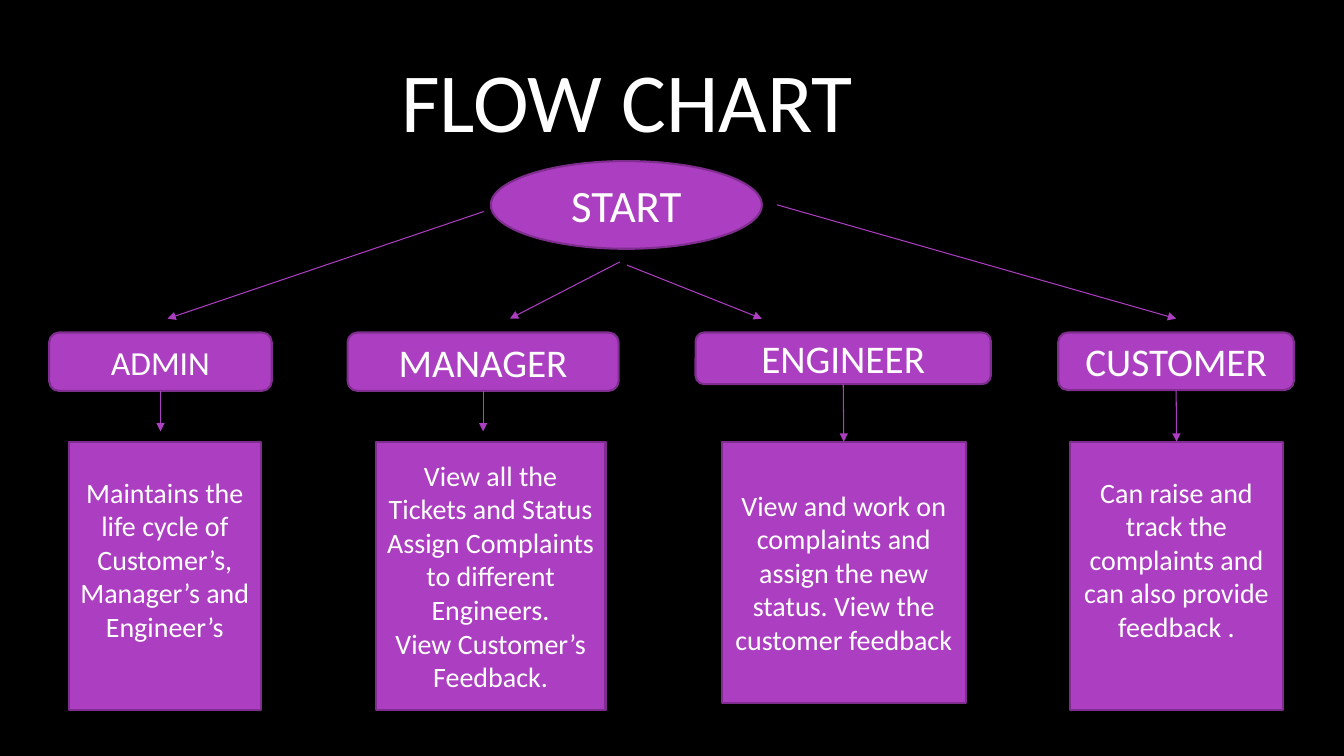
"""Build the flow chart slide of user roles."""
import dataclasses

import pptx
import pptx.dml.color
import pptx.enum.shapes
import pptx.enum.text
import pptx.oxml
import pptx.oxml.ns
import pptx.util

Cm = pptx.util.Cm
Pt = pptx.util.Pt
RGB = pptx.dml.color.RGBColor
SHAPES = pptx.enum.shapes.MSO_SHAPE


@dataclasses.dataclass(frozen=True)
class Theme:
    """Hold the colours, font and type sizes."""
    background: RGB = RGB(0x00, 0x00, 0x00)
    fill: RGB = RGB(0xAC, 0x3E, 0xC1)
    outline: RGB = RGB(0x7F, 0x2E, 0x8F)
    text: RGB = RGB(0xFF, 0xFF, 0xFF)
    font: str = "Calibri"
    title: int = 60
    start: int = 32
    role: int = 28
    small_role: int = 24
    body: int = 20


@dataclasses.dataclass(frozen=True)
class Role:
    """Describe one column: its heading, its duties and its arrow."""
    name: str
    size: int
    heading: tuple
    duties_box: tuple
    duties: tuple
    bottom_inset: float
    arrow_joins: bool


THEME = Theme()
HEADING_TOP = 8.38
DUTIES_TOP = 11.13
BRANCH_BOTTOM = 8.03
SHORT_ARROW_BOTTOM = 10.87

ROLES = (
    Role("ADMIN", THEME.small_role, (1.24, 5.61, 1.47), (1.73, 4.85, 6.76),
         ("Maintains the life cycle of Customer’s,", "Manager’s and Engineer’s"),
         0.97, False),
    Role("MANAGER", THEME.role, (8.76, 6.83, 1.47), (9.47, 5.79, 6.76),
         ("View all the Tickets and Status",
          "Assign Complaints to different Engineers.",
          "View Customer’s Feedback."),
         0.13, False),
    Role("ENGINEER", THEME.role, (17.53, 7.44, 1.3), (18.19, 6.15, 6.58),
         ("View and work on complaints and assign the new status. "
          "View the customer feedback",),
         0.13, True),
    Role("CUSTOMER", THEME.role, (26.67, 5.94, 1.45), (26.97, 5.36, 6.76),
         ("Can raise and track the complaints and can also provide feedback .",),
         0.97, True),
)

BRANCHES = (
    (19.58, 5.16, 29.64),
    (12.19, 5.33, 4.22),
    (15.62, 6.6, 12.85),
    (15.8, 6.68, 19.2),
)


def write_text(text_frame, lines, size):
    """Write centred lines, one paragraph each."""
    text_frame.word_wrap = True
    text_frame.vertical_anchor = pptx.enum.text.MSO_ANCHOR.MIDDLE
    for index, line in enumerate(lines):
        paragraph = text_frame.add_paragraph() if index else text_frame.paragraphs[0]
        paragraph.alignment = pptx.enum.text.PP_ALIGN.CENTER
        run = paragraph.add_run()
        run.text = line
        run.font.name = THEME.font
        run.font.size = Pt(size)
        run.font.color.rgb = THEME.text


def add_title(slide, text):
    """Place and fill the title placeholder."""
    title = slide.shapes.title
    title.left, title.top = Cm(1.73), Cm(0.46)
    title.width, title.height = Cm(28.14), Cm(4.04)
    write_text(title.text_frame, (text,), THEME.title)


def add_node(slide, kind, left, top, width, height, lines, size):
    """Add a filled shape with centred text."""
    shape = slide.shapes.add_shape(kind, Cm(left), Cm(top), Cm(width), Cm(height))
    shape.shadow.inherit = False
    shape.fill.solid()
    shape.fill.fore_color.rgb = THEME.fill
    shape.line.color.rgb = THEME.outline
    shape.line.width = Pt(1.5)
    write_text(shape.text_frame, lines, size)
    return shape


def add_arrow(slide, start_x, start_y, end_x, end_y):
    """Add a thin straight arrow."""
    arrow = slide.shapes.add_connector(
        pptx.enum.shapes.MSO_CONNECTOR.STRAIGHT, start_x, start_y, end_x, end_y)
    arrow.line.color.rgb = THEME.fill
    arrow.line.width = Pt(0.75)
    properties = arrow.line._get_or_add_ln()
    head = pptx.oxml.parse_xml(
        f'<a:tailEnd {pptx.oxml.ns.nsdecls("a")} type="triangle"/>')
    properties.append(head)
    properties.getparent().append(
        pptx.oxml.parse_xml(f'<a:effectLst {pptx.oxml.ns.nsdecls("a")}/>'))
    return arrow


def add_role(slide, role):
    """Add a role heading, its duties and the arrow between them."""
    left, width, height = role.heading
    heading = add_node(slide, SHAPES.ROUNDED_RECTANGLE, left, HEADING_TOP,
                       width, height, (role.name,), role.size)
    left, width, height = role.duties_box
    duties = add_node(slide, SHAPES.RECTANGLE, left, DUTIES_TOP,
                      width, height, role.duties, THEME.body)
    duties.text_frame.margin_bottom = Cm(role.bottom_inset)
    middle = heading.left + heading.width // 2
    arrow = add_arrow(slide, middle, heading.top + heading.height,
                      middle, Cm(SHORT_ARROW_BOTTOM))
    arrow.begin_connect(heading, 2)
    if role.arrow_joins:
        arrow.end_connect(duties, 0)


def main():
    """Build and save the presentation."""
    presentation = pptx.Presentation()
    presentation.slide_width = Cm(33.87)
    presentation.slide_height = Cm(19.05)
    slide = presentation.slides.add_slide(presentation.slide_layouts[5])
    slide.background.fill.solid()
    slide.background.fill.fore_color.rgb = THEME.background
    add_title(slide, "FLOW CHART")
    add_node(slide, SHAPES.OVAL, 12.37, 4.06, 6.83, 2.21, ("START",), THEME.start)
    for start_x, start_y, end_x in BRANCHES:
        add_arrow(slide, Cm(start_x), Cm(start_y), Cm(end_x), Cm(BRANCH_BOTTOM))
    for role in ROLES:
        add_role(slide, role)
    presentation.save("out.pptx")


if __name__ == "__main__":
    main()
